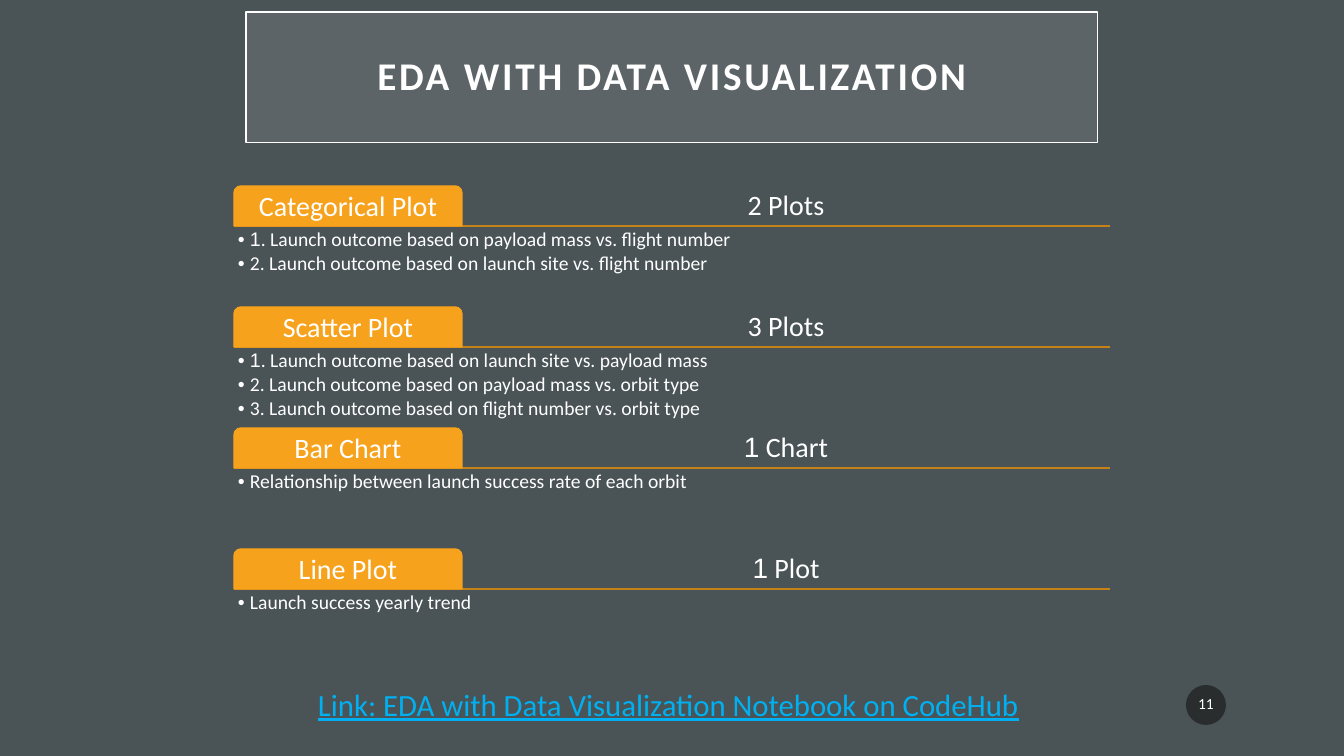
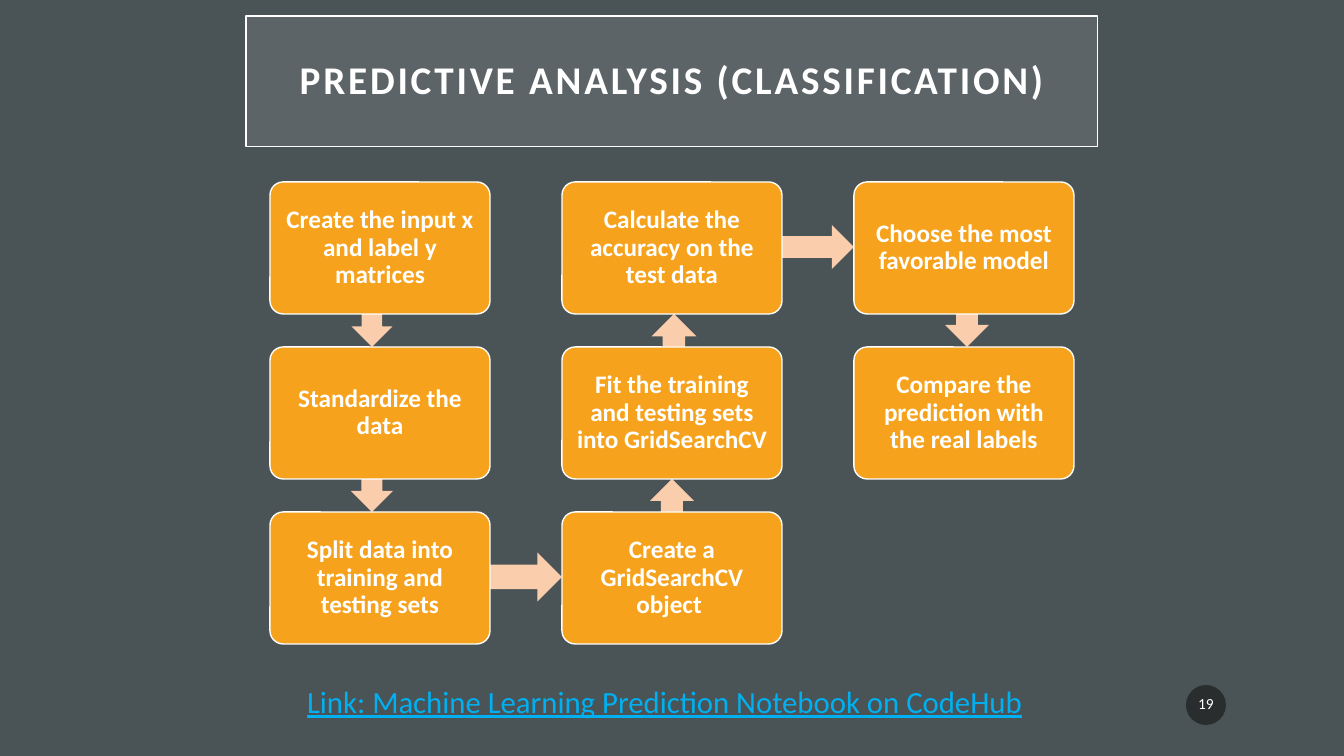
from pptx import Presentation
from pptx.dml.color import RGBColor
from pptx.enum.shapes import MSO_CONNECTOR, MSO_SHAPE
from pptx.enum.text import MSO_ANCHOR, PP_ALIGN
from pptx.oxml.ns import qn
from pptx.util import Emu, Pt
from lxml.etree import SubElement

SLATE = RGBColor(0x4A, 0x53, 0x56)
WHITE = RGBColor(0xFF, 0xFF, 0xFF)
BLACK = RGBColor(0x1D, 0x1D, 0x1D)
ORANGE = RGBColor(0xF6, 0xA2, 0x1D)
BRONZE = RGBColor(0xC5, 0x82, 0x17)
PEACH = RGBColor(0xFA, 0xCE, 0xAC)
SKY = RGBColor(0x00, 0xB0, 0xF0)

BODY_FONT = "Calibri"
DIGIT_FONT = "Arial"
EMU_PER_PX = 914400 / 100.8

PLOTS = {
    "title": "EDA WITH DATA VISUALIZATION",
    "title_top": 12,
    "number": "11",
    "link": "Link: EDA with Data Visualization Notebook on CodeHub",
    "link_at": (308, 681, 728, 47),
}
PLOT_GROUPS = [
    ("Categorical Plot", "2 Plots", [
        "1. Launch outcome based on payload mass vs. flight number",
        "2. Launch outcome based on launch site vs. flight number",
    ]),
    ("Scatter Plot", "3 Plots", [
        "1. Launch outcome based on launch site vs. payload mass",
        "2. Launch outcome based on payload mass vs. orbit type",
        "3. Launch outcome based on flight number vs. orbit type",
    ]),
    ("Bar Chart", "1 Chart", ["Relationship between launch success rate of each orbit"]),
    ("Line Plot", "1 Plot", ["Launch success yearly trend"]),
]
GROUP_LEFT, GROUP_TOP, GROUP_WIDTH, GROUP_PITCH = 234, 186, 876, 121
TAB_WIDTH, TAB_HEIGHT, LIST_HEIGHT = 228, 40, 80

PREDICTION = {
    "title": "PREDICTIVE ANALYSIS (CLASSIFICATION)",
    "title_top": 16,
    "number": "19",
    "link": "Link: Machine Learning Prediction Notebook on CodeHub",
    "link_at": (297, 678, 750, 47),
}
STEPS = [
    ("Create the input x and label y matrices", 0, 0),
    ("Standardize the data", 0, 1),
    ("Split data into training and testing sets", 0, 2),
    ("Create a GridSearchCV object ", 1, 2),
    ("Fit the training and testing sets into GridSearchCV", 1, 1),
    ("Calculate the accuracy on the test data", 1, 0),
    ("Choose the most favorable model", 2, 0),
    ("Compare the prediction with the real labels", 2, 1),
]
ARROWS = [
    ("down", 41, -8), ("down", 42, -8), ("right", 49, -1), ("up", 44, 0),
    ("up", 45, 2), ("right", 44, -1), ("down", 44, 3),
]
STEP_LEFT, STEP_TOP, STEP_WIDTH, STEP_HEIGHT = 270, 182, 220, 132
COLUMN_PITCH, ROW_PITCH = 292, 165


def px(length):
    return Emu(round(length * EMU_PER_PX))


def place(*lengths):
    return [px(length) for length in lengths]


def add_bullet(para, indent=12):
    properties = para._p.get_or_add_pPr()
    properties.set("marL", str(px(indent)))
    properties.set("indent", str(-px(indent)))
    SubElement(properties, qn("a:buFont")).set("typeface", "Arial")
    SubElement(properties, qn("a:buChar")).set("char", "•")


def write(box, texts, size, color=WHITE, bold=False, underline=False, spacing=0,
          align=PP_ALIGN.CENTER, anchor=MSO_ANCHOR.MIDDLE, insets=(4, 4),
          line_spacing=0.9, bullets=False, lead_font=BODY_FONT):
    frame = box.text_frame
    frame.word_wrap = True
    frame.vertical_anchor = anchor
    frame.margin_left = frame.margin_right = px(insets[0])
    frame.margin_top = frame.margin_bottom = px(insets[1])
    for index, text in enumerate(texts):
        para = frame.add_paragraph() if index else frame.paragraphs[0]
        if bullets:
            add_bullet(para)
            para.space_after = Pt(2)
        para.alignment = align
        para.line_spacing = line_spacing
        lead = 1 if text.startswith("1") else 0
        for part, font_name in ((text[:lead], lead_font), (text[lead:], BODY_FONT)):
            if not part:
                continue
            span = para.add_run()
            span.text = part
            font = span.font
            font.name, font.size, font.bold = font_name, Pt(size), bold
            font.underline = underline
            font.color.rgb = color
            if spacing:
                span._r.get_or_add_rPr().set("spc", str(spacing * 100))


def add_panel(page, kind, at, fill, line=None, line_width=1, opacity=100, adjust=()):
    panel = page.shapes.add_shape(kind, *place(*at))
    panel.shadow.inherit = False
    panel.fill.solid()
    panel.fill.fore_color.rgb = fill
    if opacity < 100:
        color = panel._element.spPr.find(qn("a:solidFill")).find(qn("a:srgbClr"))
        SubElement(color, qn("a:alpha")).set("val", str(opacity * 1000))
    if line is None:
        panel.line.fill.background()
    else:
        panel.line.color.rgb = line
        panel.line.width = Pt(line_width)
    for index, value in enumerate(adjust):
        panel.adjustments[index] = value
    return panel


def add_text(page, at, texts, size, **style):
    write(page.shapes.add_textbox(*place(*at)), texts, size, **style)


def add_rule(page, left, y, width):
    rule = page.shapes.add_connector(
        MSO_CONNECTOR.STRAIGHT, *place(left, y, left + width, y))
    rule.line.color.rgb = BRONZE
    rule.line.width = Pt(1)
    SubElement(rule._element.spPr, qn("a:effectLst"))


def add_page(deck, content):
    page = deck.slides.add_slide(deck.slide_layouts[6])
    page.background.fill.solid()
    page.background.fill.fore_color.rgb = SLATE
    title = add_panel(page, MSO_SHAPE.RECTANGLE, (246, content["title_top"], 852, 131),
                      WHITE, line=WHITE, line_width=0.75, opacity=10)
    write(title, [content["title"]], 28, bold=True, spacing=2, insets=(20, 20))
    badge = add_panel(page, MSO_SHAPE.OVAL, (1186, 685, 40, 40), BLACK, opacity=70)
    write(badge, [content["number"]], 11, insets=(2, 5))
    add_text(page, content["link_at"], [content["link"]], 22, color=SKY, underline=True,
             align=PP_ALIGN.LEFT, anchor=MSO_ANCHOR.TOP, insets=(10, 5), line_spacing=1.0)
    return page


def add_plot_groups(page):
    for index, (name, count, items) in enumerate(PLOT_GROUPS):
        top = GROUP_TOP + index * GROUP_PITCH
        bottom = top + TAB_HEIGHT
        add_rule(page, GROUP_LEFT, bottom, GROUP_WIDTH)
        add_text(page, (GROUP_LEFT + TAB_WIDTH, top, GROUP_WIDTH - TAB_WIDTH, TAB_HEIGHT),
                 [count], 20, anchor=MSO_ANCHOR.BOTTOM, lead_font=DIGIT_FONT)
        tab = add_panel(page, MSO_SHAPE.ROUND_2_SAME_RECTANGLE,
                        (GROUP_LEFT, top, TAB_WIDTH, TAB_HEIGHT),
                        ORANGE, line=ORANGE, adjust=(0.17, 0))
        write(tab, [name], 20)
        add_text(page, (GROUP_LEFT, bottom, GROUP_WIDTH, LIST_HEIGHT), items, 14,
                 align=PP_ALIGN.LEFT, anchor=MSO_ANCHOR.TOP, bullets=True,
                 lead_font=DIGIT_FONT)


def step_corner(column, row):
    return STEP_LEFT + column * COLUMN_PITCH, STEP_TOP + row * ROW_PITCH


def add_arrow(page, left, top, direction, thickness, nudge):
    if direction == "right":
        middle = top + STEP_HEIGHT // 2 + nudge
        at = (left, middle - thickness / 2, COLUMN_PITCH, thickness)
        kind = MSO_SHAPE.RIGHT_ARROW
    else:
        middle = left + STEP_WIDTH // 2 + nudge
        going_up = direction == "up"
        start = top + STEP_HEIGHT - ROW_PITCH if going_up else top
        at = (middle - thickness / 2, start, thickness, ROW_PITCH)
        kind = MSO_SHAPE.UP_ARROW if going_up else MSO_SHAPE.DOWN_ARROW
    add_panel(page, kind, at, PEACH)


def add_steps(page):
    for (_, column, row), arrow in zip(STEPS, ARROWS):
        add_arrow(page, *step_corner(column, row), *arrow)
    for text, column, row in STEPS:
        step = add_panel(page, MSO_SHAPE.ROUNDED_RECTANGLE,
                         (*step_corner(column, row), STEP_WIDTH, STEP_HEIGHT),
                         ORANGE, line=WHITE, adjust=(0.1,))
        write(step, [text], 18, bold=True, insets=(7, 7))


def main():
    deck = Presentation()
    deck.slide_width, deck.slide_height = place(1344, 756)
    add_plot_groups(add_page(deck, PLOTS))
    add_steps(add_page(deck, PREDICTION))
    deck.save("out.pptx")


if __name__ == "__main__":
    main()
